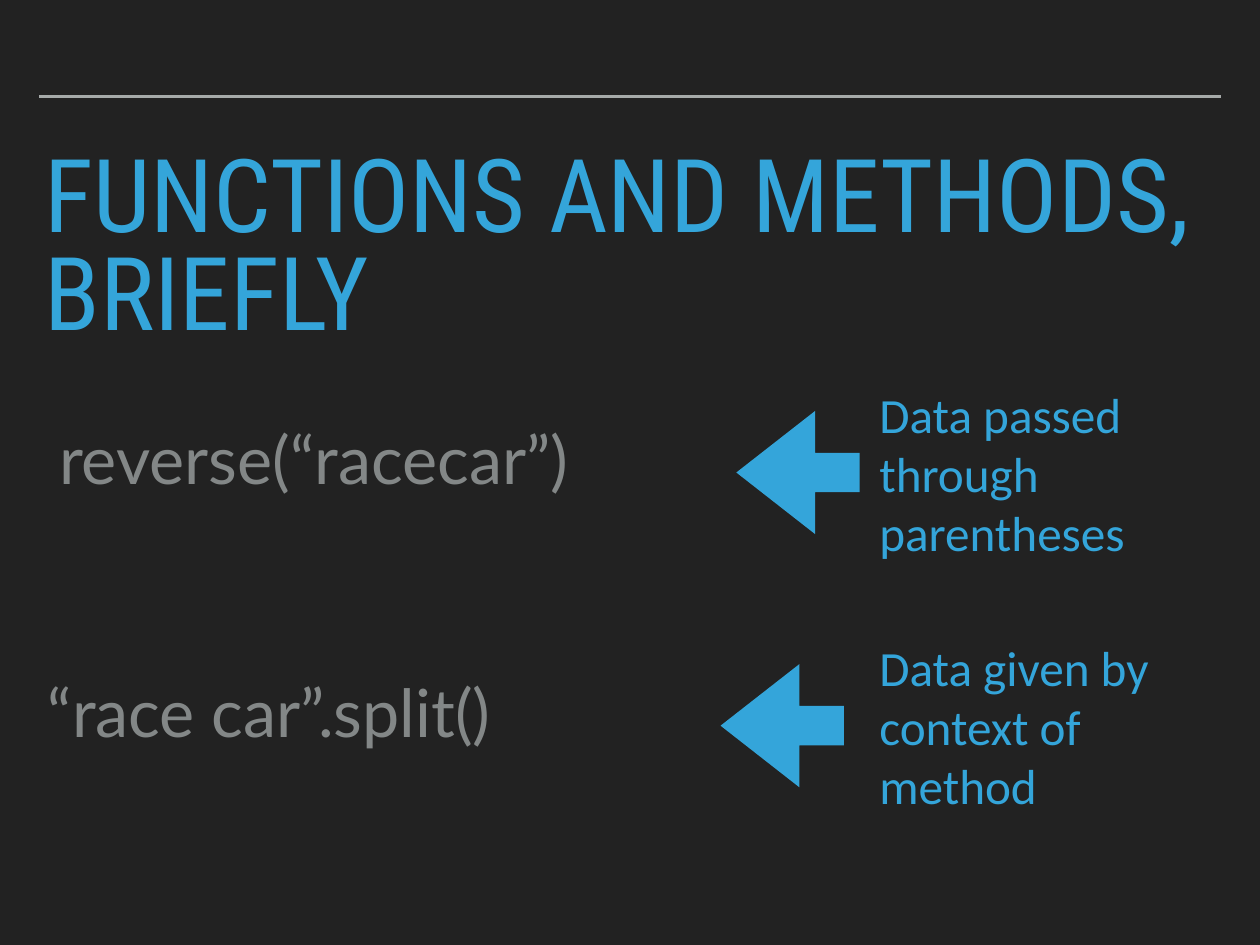
import dataclasses

import pptx
import pptx.dml.color
import pptx.enum.shapes
import pptx.enum.text
import pptx.oxml
import pptx.oxml.ns
import pptx.util

ANCHOR = pptx.enum.text.MSO_ANCHOR
FIT = pptx.enum.text.MSO_AUTO_SIZE


@dataclasses.dataclass(frozen=True)
class Theme:
    background: str = "222222"
    accent: str = "34A5DA"
    code: str = "838787"
    rule: str = "A6AAA9"
    title_font: str = "Roboto Condensed"
    code_font: str = "Lato"
    callout_font: str = "Calibri"
    title_size: float = 82.8
    code_size: float = 54
    callout_size: float = 40
    rule_width: float = 2
    inset: float = 0.06


def rgb(value):
    return pptx.dml.color.RGBColor.from_string(value)


class SlideBuilder:
    """Places elements on a grid of 32 columns by 24 rows."""

    COLUMNS, ROWS = 32, 24

    def __init__(self, deck, theme):
        self.theme = theme
        self.column = deck.slide_width / self.COLUMNS
        self.row = deck.slide_height / self.ROWS
        self.page = deck.slides.add_slide(deck.slide_layouts.get_by_name("Title Only"))
        self.page.background.fill.solid()
        self.page.background.fill.fore_color.rgb = rgb(theme.background)

    def area(self, left, top, width, height):
        return (int(left * self.column), int(top * self.row),
                int(width * self.column), int(height * self.row))

    def set_text(self, box, text, font, size, color, anchor, fit):
        frame = box.text_frame
        frame.word_wrap = True
        frame.auto_size = fit
        frame.vertical_anchor = anchor
        inset = pptx.util.Inches(self.theme.inset)
        frame.margin_left = frame.margin_right = inset
        frame.margin_top = frame.margin_bottom = inset
        frame.text = text
        para = frame.paragraphs[0]
        para.alignment = pptx.enum.text.PP_ALIGN.LEFT
        para.font.name = font
        para.font.size = pptx.util.Pt(size)
        para.font.color.rgb = rgb(color)
        return para

    def rule(self, left, right, row):
        start, y, length, _ = self.area(left, row, right - left, 0)
        line = self.page.shapes.add_connector(
            pptx.enum.shapes.MSO_CONNECTOR.STRAIGHT, start, y, start + length, y)
        line.line.color.rgb = rgb(self.theme.rule)
        line.line.width = pptx.util.Pt(self.theme.rule_width)
        properties = line._element.spPr
        properties.append(pptx.oxml.parse_xml(
            f"<a:effectLst {pptx.oxml.ns.nsdecls('a')}/>"))

    def title(self, text, left, top, width, height):
        box = self.page.shapes.title
        box.left, box.top, box.width, box.height = self.area(left, top, width, height)
        para = self.set_text(box, text, self.theme.title_font, self.theme.title_size,
                             self.theme.accent, ANCHOR.TOP, FIT.NONE)
        para.line_spacing = 0.8

    def label(self, text, left, middle, width, height, font, size, color):
        box = self.page.shapes.add_textbox(
            *self.area(left, middle - height / 2, width, height))
        self.set_text(box, text, font, size, color, ANCHOR.MIDDLE,
                      FIT.SHAPE_TO_FIT_TEXT)

    def code(self, text, left, middle):
        self.label(text, left, middle, 28.19, 2.27, self.theme.code_font,
                   self.theme.code_size, self.theme.code)

    def callout(self, text, left, middle):
        self.label(text, left, middle, 7.58, 5.4, self.theme.callout_font,
                   self.theme.callout_size, self.theme.accent)

    def arrow(self, left, middle, size):
        arrow = self.page.shapes.add_shape(
            pptx.enum.shapes.MSO_SHAPE.LEFT_ARROW,
            *self.area(left, middle - size / 2, size, size))
        arrow.adjustments[0] = 0.32
        arrow.adjustments[1] = 0.64
        arrow.fill.solid()
        arrow.fill.fore_color.rgb = rgb(self.theme.accent)
        arrow.line.fill.background()
        arrow.shadow.inherit = False


def main():
    deck = pptx.Presentation()
    deck.slide_width = pptx.util.Inches(14.22)
    deck.slide_height = pptx.util.Inches(10.67)
    slide = SlideBuilder(deck, Theme())

    # Heading
    slide.rule(1, 31, 2.45)
    slide.title("FUNCTIONS AND METHODS, BRIEFLY", 1, 3.78, 30, 2.88)

    # Code examples, each with an arrow and an explanation
    examples = [
        ("reverse(“racecar”)", 1.37, 18.7, "Data passed through parentheses"),
        ("“race car”.split()", 1.08, 18.3, "Data given by context of method"),
    ]
    first_row, row_step = 12, 6.43
    for index, (code, code_left, arrow_left, explanation) in enumerate(examples):
        middle = first_row + index * row_step
        slide.code(code, code_left, middle - 0.38)
        slide.arrow(arrow_left, middle, 3.13)
        slide.callout(explanation, 22.2, middle)

    deck.save("out.pptx")


if __name__ == "__main__":
    main()
